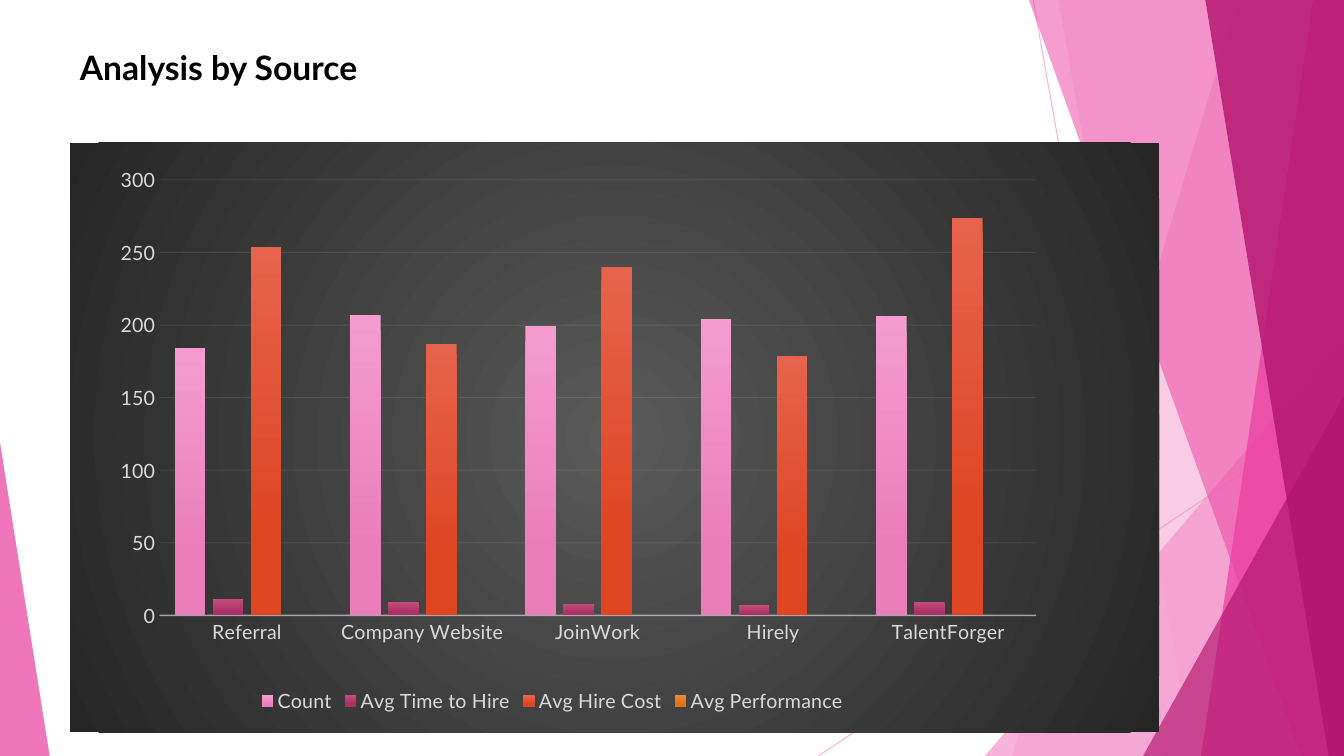
from lxml import etree
from pptx import Presentation
from pptx.chart.data import CategoryChartData
from pptx.dml.color import RGBColor
from pptx.enum.chart import XL_CHART_TYPE, XL_LEGEND_POSITION, XL_TICK_MARK
from pptx.enum.shapes import MSO_CONNECTOR, MSO_SHAPE
from pptx.enum.text import MSO_AUTO_SIZE
from pptx.oxml import parse_xml
from pptx.oxml.ns import nsdecls, qn
from pptx.util import Pt

COLUMNS = XL_CHART_TYPE.COLUMN_CLUSTERED
BOTTOM = XL_LEGEND_POSITION.BOTTOM
NO_TICK = XL_TICK_MARK.NONE
STRAIGHT = MSO_CONNECTOR.STRAIGHT
TRIANGLE = MSO_SHAPE.ISOSCELES_TRIANGLE
FIT_SHAPE = MSO_AUTO_SIZE.SHAPE_TO_FIT_TEXT

WIDTH, HEIGHT = 960, 540
PALE, PINK, DEEP = "F496CB", "EB3D9F", "B2136D"

SOURCES = ["Referral", "Company Website", "JoinWork", "Hirely", "TalentForger"]
# name, values, top colour, bottom colour
SERIES = [
    ("Count", (184, 207, 199, 204, 206), "F49CCD", "EA7EBB"),
    ("Avg Time to Hire", (11, 9, 8, 7, 9), "BF4E79", "AC3066"),
    ("Avg Hire Cost", (254, 187, 240, 179, 274), "E7634C", "DE4522"),
    ("Avg Performance", (0, 0, 0, 0, 0), "F38742", "E17313"),
]


def rgb(value):
    return RGBColor.from_string(value)


def fade(element, percent):
    """Set the opacity of every RGB colour inside the element."""
    for color in element.iter(qn("a:srgbClr")):
        etree.SubElement(color, qn("a:alpha")).set("val", str(percent * 1000))


def layout(**parts):
    """Return a manual chart layout with x, y, w, h as fractions."""
    modes = "".join(f'<c:{k}Mode val="edge"/>' for k in "xy")
    values = "".join(f'<c:{k} val="{v}"/>' for k, v in parts.items())
    target = '<c:layoutTarget val="inner"/>' if "w" in parts else ""
    return parse_xml(f'<c:layout {nsdecls("c")}><c:manualLayout>{target}{modes}'
                     f'{values}</c:manualLayout></c:layout>')


def radial_fill(inner, outer):
    stops = "".join(f'<a:gs pos="{pos}"><a:srgbClr val="{c}"/></a:gs>'
                    for pos, c in ((0, inner), (100000, outer)))
    return parse_xml(
        f'<c:spPr {nsdecls("c", "a")}><a:gradFill><a:gsLst>{stops}</a:gsLst>'
        '<a:path path="circle"><a:fillToRect l="50000" t="50000" r="50000" b="50000"/>'
        '</a:path></a:gradFill><a:ln><a:noFill/></a:ln></c:spPr>')


class Deck:
    font = "Lato"
    label_color = "D9D9D9"
    line_color = "F2F2F2"

    def __init__(self):
        self.prs = Presentation()
        self.prs.slide_width, self.prs.slide_height = Pt(WIDTH), Pt(HEIGHT)
        self.s = self.prs.slides.add_slide(self.prs.slide_layouts[6])

    def style(self, font, size, color, bold=False):
        font.name, font.size, font.bold = self.font, Pt(size), bold
        font.color.rgb = rgb(color)

    def line(self, x1, y1, x2, y2):
        c = self.s.shapes.add_connector(STRAIGHT, Pt(x1), Pt(y1), Pt(x2), Pt(y2))
        c.line.color.rgb, c.line.width = rgb(PALE), Pt(0.75)
        fade(c.line._ln, 70)
        etree.SubElement(c._element.spPr, qn("a:effectLst"))

    def paint(self, sp, color, opacity):
        sp.shadow.inherit = False
        sp.fill.solid()
        sp.fill.fore_color.rgb = rgb(color)
        sp.line.fill.background()
        fade(sp._element.spPr, opacity)

    def facet(self, top, bottom, color, opacity):
        """Fill from a slanted edge to the right side of the slide."""
        builder = self.s.shapes.build_freeform(Pt(top), 0)
        corners = ((WIDTH, 0), (WIDTH, HEIGHT), (bottom, HEIGHT))
        builder.add_line_segments([(Pt(x), Pt(y)) for x, y in corners])
        self.paint(builder.convert_to_shape(), color, opacity)

    def triangle(self, x, y, w, apex, color, opacity):
        """Draw a right triangle standing on the bottom edge of the slide."""
        sp = self.s.shapes.add_shape(TRIANGLE, Pt(x), Pt(y), Pt(w), Pt(HEIGHT - y))
        sp.adjustments[0] = apex
        self.paint(sp, color, opacity)

    def title(self, text, x, y, w, h):
        tf = self.s.shapes.add_textbox(Pt(x), Pt(y), Pt(w), Pt(h)).text_frame
        tf.word_wrap, tf.auto_size = True, FIT_SHAPE
        p = tf.paragraphs[0]
        p.text = text
        self.style(p.font, 24, "000000", bold=True)

    def axis_line(self, line, width, element, opacity):
        line.color.rgb, line.width = rgb(self.line_color), Pt(width)
        fade(element, opacity)

    def column_chart(self, x, y, w, h):
        data = CategoryChartData()
        data.categories = SOURCES
        for name, values, *_ in SERIES:
            data.add_series(name, values)
        chart = self.s.shapes.add_chart(COLUMNS, Pt(x), Pt(y), Pt(w), Pt(h), data).chart
        self.style(chart.font, 10, "000000")
        chart.has_title = False
        space = chart.element
        space.find(qn("c:chart")).addnext(radial_fill("595959", "262626"))

        plot = chart.plots[0]
        plot.gap_width, plot.overlap, plot.vary_by_categories = 100, -24, False
        for series, (_, _, top, bottom) in zip(plot.series, SERIES):
            fill = series.format.fill
            fill.gradient()
            fill.gradient_angle = 270
            for stop, color, position in zip(fill.gradient_stops, (top, bottom), (0, 0.78)):
                stop.color.rgb, stop.position = rgb(color), position

        cat, val = chart.category_axis, chart.value_axis
        for axis in (cat, val):
            axis.major_tick_mark = axis.minor_tick_mark = NO_TICK
            self.style(axis.tick_labels.font, 14, self.label_color)
        self.axis_line(cat.format.line, 1, cat._element.find(qn("c:spPr")), 54)
        val.minimum_scale, val.maximum_scale, val.major_unit = 0, 300, 50
        val.format.line.fill.background()
        val.has_major_gridlines = True
        self.axis_line(val.major_gridlines.format.line, 0.75,
                       val._element.find(qn("c:majorGridlines")), 10)

        chart.has_legend = True
        legend = chart.legend
        legend.position, legend.include_in_layout = BOTTOM, False
        self.style(legend.font, 14, self.label_color)

        area = space.find(".//" + qn("c:plotArea"))
        for holder in (area, legend._element):
            for old in holder.findall(qn("c:layout")):
                holder.remove(old)
        area.insert(0, layout(x=0.082, y=0.063, w=0.805, h=0.739))
        legend._element.find(qn("c:legendPos")).addnext(layout(x=0.17, y=0.92))


def main():
    deck = Deck()
    deck.line(738, 0, 834, HEIGHT)
    deck.line(WIDTH, 290, 584.5, HEIGHT)
    deck.facet(884, 723, PALE, 36)
    deck.facet(756, 852, PALE, 20)
    deck.triangle(703.5, 240, 256.5, 1, PALE, 72)
    deck.facet(735, 929.5, PINK, 50)
    deck.facet(938, 858, PINK, 70)
    deck.facet(861, 949, DEEP, 80)
    deck.triangle(816.5, 283, 143.5, 1, DEEP, 66)
    deck.triangle(0, 316, 35.5, 0, PINK, 70)
    deck.title("Analysis by Source", 50, 30, 600, 36)
    deck.column_chart(50, 102, 778, 421)
    deck.prs.save("out.pptx")


if __name__ == "__main__":
    main()
